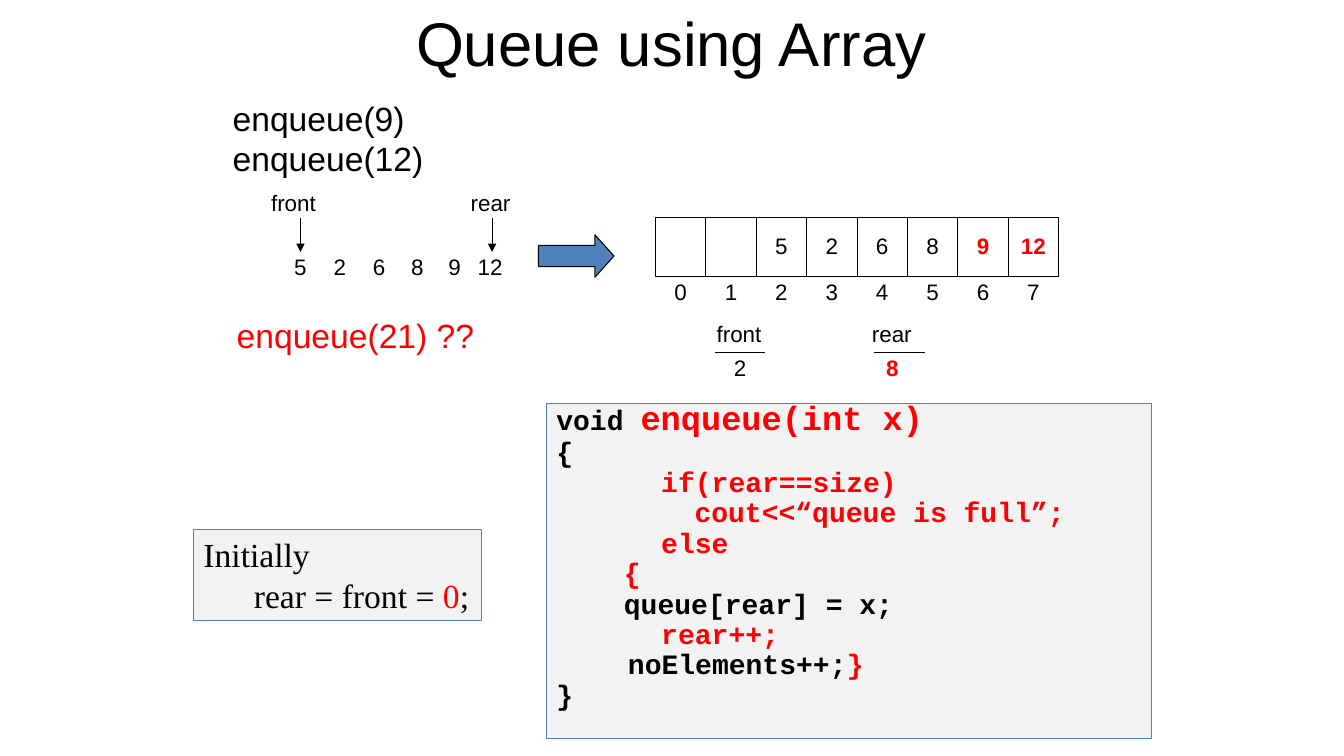
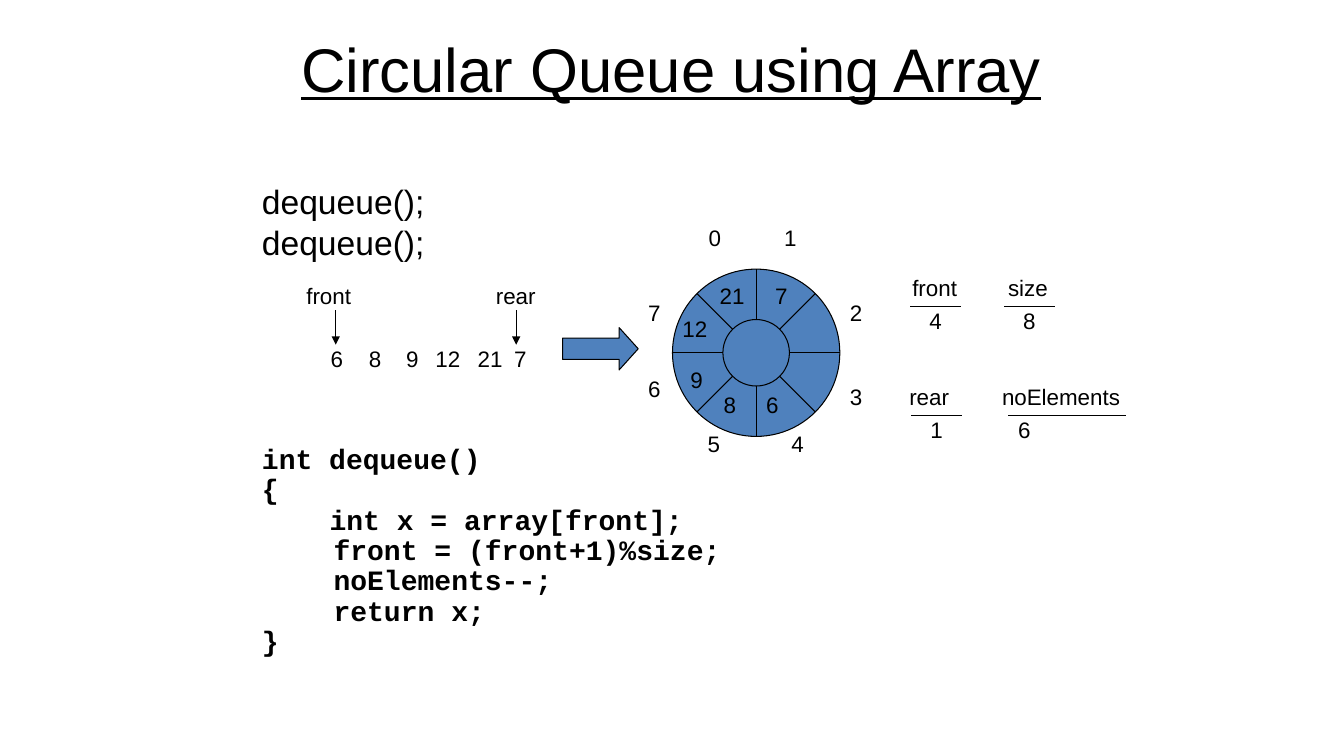
import math
from dataclasses import dataclass

import pptx
import pptx.dml.color
import pptx.enum.shapes
import pptx.enum.text
import pptx.oxml
import pptx.oxml.ns
import pptx.util

Inches = pptx.util.Inches
Pt = pptx.util.Pt
SHAPES = pptx.enum.shapes.MSO_SHAPE
ALIGN = pptx.enum.text.PP_ALIGN
ANCHOR = pptx.enum.text.MSO_ANCHOR


@dataclass(frozen=True)
class Theme:
    ink: str = "000000"
    red: str = "FF0000"
    blue: str = "4F81BD"
    panel: str = "F2F2F2"
    white: str = "FFFFFF"
    sans: str = "Arial"
    mono: str = "Courier New"
    serif: str = "Times New Roman"
    title: int = 44
    call: int = 24
    code: int = 20
    label: int = 16
    rule: float = 0.75


THEME = Theme()
RED = {"color": THEME.red}
CODE = {"font": THEME.mono, "size": THEME.code, "bold": True,
        "line_spacing": 0.7, "space_before": 4.9}

ENQUEUE_CODE = [
    (0, "void ", ("enqueue(int x)", {"color": THEME.red, "size": THEME.call})),
    (0, "{"),
    (1.04, ("if(rear==size)", RED)),
    (1.37, ("cout<<“queue is full”;", RED)),
    (1.04, ("else", RED)),
    (0.67, ("{", RED)),
    (0.67, "queue[rear] = x;"),
    (1.04, ("rear++;", RED)),
    (0.71, "noElements++;", ("}", RED)),
    (0, "}"),
]
DEQUEUE_CODE = [
    (0, "int dequeue()"),
    (0, "{"),
    (0.67, "int x = array[front];"),
    (0.71, "front = (front+1)%size;"),
    (0.71, "noElements--;"),
    (0.71, "return x;"),
    (0, "}"),
]
INITIAL_STATE = [(0, "Initially"), (0.5, "rear = front = ", ("0", RED), ";")]

ARRAY_CELLS = ["", "", "5", "2", "6", "8", "9", "12"]
NEW_CELLS = {"9", "12"}

ENQUEUE_SEQUENCE = {
    "items": [("5", 2.82), ("2", 3.21), ("6", 3.6), ("8", 3.98), ("9", 4.35), ("12", 4.64)],
    "ends": [("front", 2.59, 2.98), ("rear", 4.57, 4.88)],
    "top": 1.83,
}
DEQUEUE_SEQUENCE = {
    "items": [("6", 3.18), ("8", 3.56), ("9", 3.93), ("12", 4.22), ("21", 4.64), ("7", 5)],
    "ends": [("front", 2.94, 3.33), ("rear", 4.82, 5.12)],
    "top": 2.75,
}

ENQUEUE_COUNTERS = [
    ("front", 7.01, "2", 7.18, 7.09, 0.5, 3.13, {}),
    ("rear", 8.55, "8", 8.69, 8.67, 0.5, 3.13, {"color": THEME.red, "bold": True}),
]
DEQUEUE_COUNTERS = [
    ("front", 8.95, "4", 9.12, 9.03, 0.5, 2.67, {}),
    ("size", 9.9, "8", 10.05, 9.96, 0.5, 2.67, {}),
    ("rear", 8.92, "1", 9.13, 9.04, 0.5, 3.75, {}),
    ("noElements", 9.84, "6", 10, 10, 1.17, 3.75, {}),
]

RING_INDEXES = [("0", 6.93, 2.17), ("1", 7.68, 2.17), ("2", 8.33, 2.92), ("3", 8.33, 3.75),
                ("4", 7.75, 4.22), ("5", 6.92, 4.22), ("6", 6.33, 3.67), ("7", 6.33, 2.92)]
RING_VALUES = [("6", 7.5, 3.83), ("8", 7.08, 3.83), ("9", 6.75, 3.58),
               ("12", 6.67, 3.08), ("21", 7.04, 2.75), ("7", 7.59, 2.75)]


def rgb(value):
    return pptx.dml.color.RGBColor.from_string(value)


def write_text(box, text, font=THEME.sans, size=THEME.label, color=THEME.ink, bold=False,
               underline=False, align=ALIGN.LEFT, anchor=ANCHOR.TOP,
               line_spacing=None, space_before=0):
    frame = box.text_frame
    frame.word_wrap = True
    frame.vertical_anchor = anchor
    lines = [(0, line) for line in text.split("\n")] if isinstance(text, str) else text
    for number, (indent, *spans) in enumerate(lines):
        para = frame.add_paragraph() if number else frame.paragraphs[0]
        para.alignment = align
        if indent:
            para._p.get_or_add_pPr().set("marL", str(Inches(indent)))
        if line_spacing:
            para.line_spacing = line_spacing
        if number and space_before:
            para.space_before = Pt(space_before)
        for item in spans:
            words, change = (item, {}) if isinstance(item, str) else item
            span = para.add_run()
            span.text = words
            span.font.name = font
            span.font.size = Pt(change.get("size", size))
            span.font.bold = bold
            span.font.underline = underline
            span.font.color.rgb = rgb(change.get("color", color))


def add_text(page, text, left, top, width, height, **style):
    box = page.shapes.add_textbox(Inches(left), Inches(top), Inches(width), Inches(height))
    write_text(box, text, **style)


def add_label(page, text, left, top, **style):
    add_text(page, text, left, top, 0.2 + 0.13 * len(text), 0.37, **style)


def add_title(page, text, middle, **style):
    add_text(page, text, 2.16, middle - 0.42, 9, 0.84, size=THEME.title,
             align=ALIGN.CENTER, anchor=ANCHOR.MIDDLE, **style)


def add_shape(page, kind, left, top, width, height, fill, line=THEME.ink):
    shape = page.shapes.add_shape(kind, Inches(left), Inches(top), Inches(width), Inches(height))
    shape.shadow.inherit = False
    shape.fill.solid()
    shape.fill.fore_color.rgb = rgb(fill)
    shape.line.color.rgb = rgb(line)
    shape.line.width = Pt(THEME.rule)
    return shape


def add_panel(page, text, left, top, width, height, **style):
    panel = add_shape(page, SHAPES.RECTANGLE, left, top, width, height, THEME.panel, THEME.blue)
    write_text(panel, text, **style)


def add_line(page, x1, y1, x2, y2, arrow=False):
    line = page.shapes.add_connector(pptx.enum.shapes.MSO_CONNECTOR.STRAIGHT,
                                     Inches(x1), Inches(y1), Inches(x2), Inches(y2))
    line.line.color.rgb = rgb(THEME.ink)
    line.line.width = Pt(THEME.rule)
    if arrow:
        head = pptx.oxml.parse_xml(
            '<a:tailEnd %s type="triangle"/>' % pptx.oxml.ns.nsdecls("a"))
        line.line._get_or_add_ln().append(head)
    line._element.spPr.append(
        pptx.oxml.parse_xml("<a:effectLst %s/>" % pptx.oxml.ns.nsdecls("a")))


def add_block_arrow(page, left, top):
    arrow = add_shape(page, SHAPES.RIGHT_ARROW, left, top, 0.75, 0.42, THEME.blue)
    arrow.adjustments[0] = 0.5
    arrow.adjustments[1] = 0.45


def add_sequence(page, items, ends, top):
    for name, left, arrow_x in ends:
        add_label(page, name, left, top)
        add_line(page, arrow_x, top + 0.33, arrow_x, top + 0.67, arrow=True)
    for value, left in items:
        add_label(page, value, left, top + 0.63)


def add_counters(page, counters):
    for name, name_left, value, value_left, rule_left, rule_width, top, style in counters:
        add_label(page, name, name_left, top)
        add_label(page, value, value_left, top + 0.33, **style)
        add_line(page, rule_left, top + 0.37, rule_left + rule_width, top + 0.37)


def add_array(page, left, top, cell, height):
    add_shape(page, SHAPES.RECTANGLE, left, top, cell * len(ARRAY_CELLS), height, THEME.white)
    for index, value in enumerate(ARRAY_CELLS):
        x = left + index * cell
        if index:
            add_line(page, x, top, x, top + height)
        if value:
            new = value in NEW_CELLS
            add_text(page, value, x, top + 0.09, cell, 0.37, align=ALIGN.CENTER,
                     bold=new, color=THEME.red if new else THEME.ink)
        add_text(page, str(index), x, top + 0.55, cell, 0.37, align=ALIGN.CENTER)


def add_ring(page, x, y, outer, inner):
    for radius in (outer, inner):
        add_shape(page, SHAPES.OVAL, x - radius, y - radius, 2 * radius, 2 * radius, THEME.blue)
    for step in range(8):
        across, down = math.cos(step * math.pi / 4), math.sin(step * math.pi / 4)
        add_line(page, x + inner * across, y + inner * down,
                 x + outer * across, y + outer * down)
    for text, left, top in RING_INDEXES + RING_VALUES:
        add_label(page, text, left, top)


def build_enqueue(page):
    add_title(page, "Queue using Array", 0.42)
    add_text(page, "enqueue(9)\nenqueue(12)", 2.21, 0.92, 2.4, 0.91, size=THEME.call)
    add_sequence(page, **ENQUEUE_SEQUENCE)
    add_block_arrow(page, 5.34, 2.33)
    add_array(page, 6.5, 2.16, 0.5, 0.58)
    add_counters(page, ENQUEUE_COUNTERS)
    add_text(page, "enqueue(21) ??", 2.25, 3.08, 2.8, 0.5, size=THEME.call, color=THEME.red)
    add_panel(page, ENQUEUE_CODE, 5.42, 4, 6, 3.33, **CODE)
    add_panel(page, INITIAL_STATE, 1.92, 5.25, 2.86, 0.91, font=THEME.serif, size=THEME.call)


def build_dequeue(page):
    add_title(page, "Circular Queue using Array", 0.67, underline=True)
    add_text(page, "dequeue();\ndequeue();", 2.5, 1.75, 2.1, 0.91, size=THEME.call)
    add_sequence(page, **DEQUEUE_SEQUENCE)
    add_block_arrow(page, 5.58, 3.25)
    add_ring(page, 7.5, 3.5, 0.83, 0.33)
    add_counters(page, DEQUEUE_COUNTERS)
    add_text(page, DEQUEUE_CODE, 2.5, 4.42, 6, 2.58, **CODE)


def main():
    deck = pptx.Presentation()
    deck.slide_width = Inches(13.33)
    deck.slide_height = Inches(7.5)
    for build in (build_enqueue, build_dequeue):
        build(deck.slides.add_slide(deck.slide_layouts[6]))
    deck.save("out.pptx")


if __name__ == "__main__":
    main()
